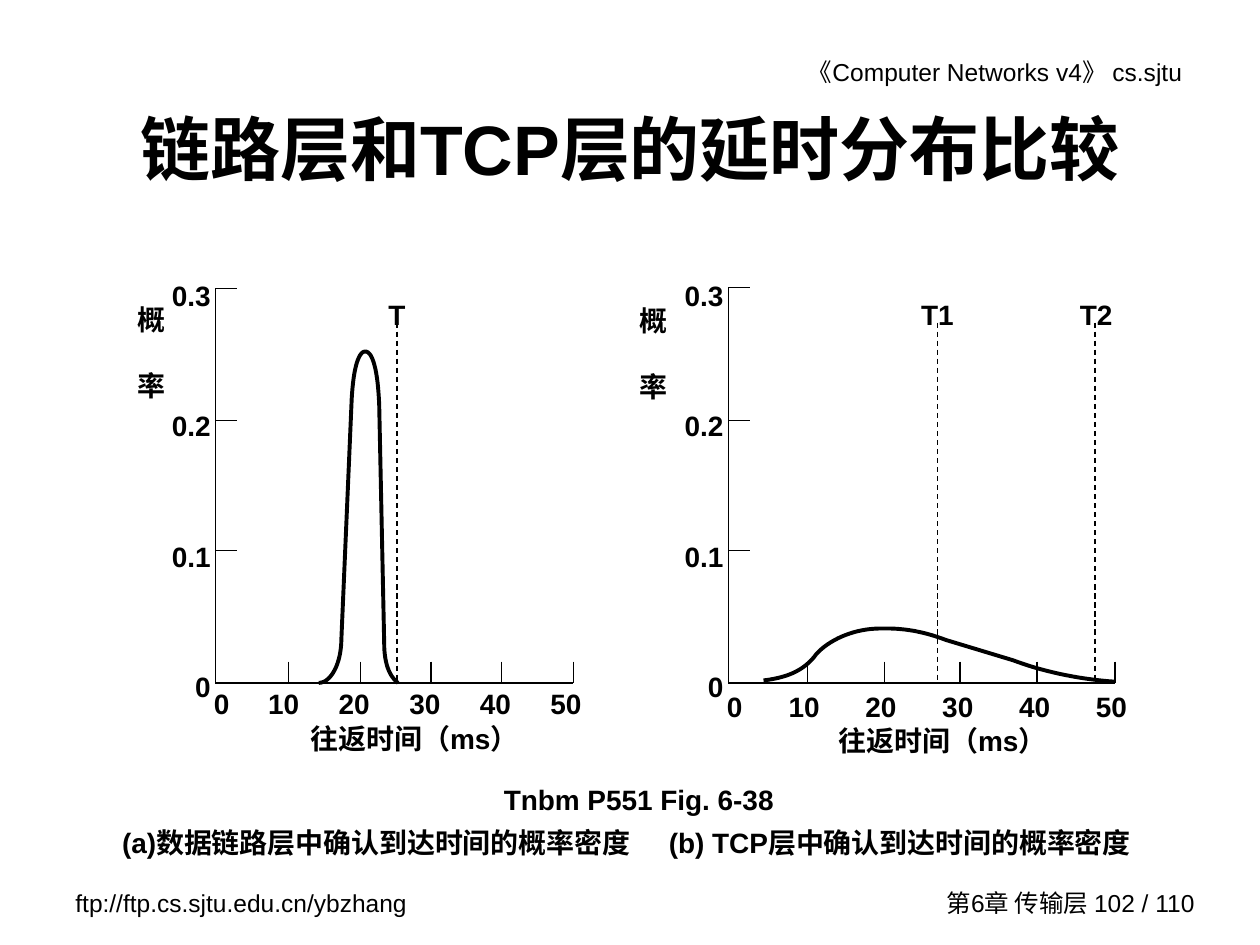
from lxml import etree
from pptx import Presentation
from pptx.dml.color import RGBColor
from pptx.enum.dml import MSO_LINE
from pptx.enum.shapes import MSO_CONNECTOR
from pptx.enum.text import MSO_ANCHOR, PP_ALIGN
from pptx.oxml.ns import qn
from pptx.util import Inches, Pt

LEFT, CENTER, RIGHT = PP_ALIGN.LEFT, PP_ALIGN.CENTER, PP_ALIGN.RIGHT
TOP, MIDDLE = MSO_ANCHOR.TOP, MSO_ANCHOR.MIDDLE
STRAIGHT = MSO_CONNECTOR.STRAIGHT
DASH = MSO_LINE.DASH


def rgb(value):
    return RGBColor.from_string(value)


def bezier(a, b, c, d, steps=16):
    for i in range(1, steps + 1):
        t = i / steps
        u = 1 - t
        yield tuple(u**3 * p + 3 * u * u * t * q + 3 * u * t * t * r + t**3 * s
                    for p, q, r, s in zip(a, b, c, d))


class Builder:
    font = "Arial"
    ink = "000000"

    def __init__(self, s):
        self.s = s

    def text(self, x, y, w, h, text, size=16, bold=True, align=LEFT,
             anchor=TOP, gap=0, tabs=()):
        sp = self.s.shapes.add_textbox(Inches(x), Inches(y), Inches(w), Inches(h))
        tf = sp.text_frame
        tf.word_wrap = True
        tf.vertical_anchor = anchor
        for i, line in enumerate(text.split("\n")):
            p = tf.paragraphs[0] if i == 0 else tf.add_paragraph()
            if tabs:
                stops = etree.SubElement(p._p.get_or_add_pPr(), qn("a:tabLst"))
                for pos in tabs:
                    etree.SubElement(stops, qn("a:tab"), pos=str(Inches(pos)), algn="l")
            p.alignment = align
            if i and gap:
                p.space_before = Pt(gap)
            r = p.add_run()
            r.text = line
            r.font.name = self.font
            r.font.size = Pt(size)
            r.font.bold = bold
            r.font.color.rgb = rgb(self.ink)

    def line(self, x1, y1, x2, y2, dash=None):
        c = self.s.shapes.add_connector(STRAIGHT, Inches(x1), Inches(y1),
                                        Inches(x2), Inches(y2))
        c.line.color.rgb = rgb(self.ink)
        c.line.width = Pt(0.75)
        if dash:
            c.line.dash_style = dash
        etree.SubElement(c._element.spPr, qn("a:effectLst"))

    def curve(self, start, segments):
        points = [start]
        for seg in segments:
            points.extend(bezier(points[-1], *seg) if len(seg) == 3 else seg)
        points = [(Inches(x), Inches(y)) for x, y in points]
        fb = self.s.shapes.build_freeform(*points[0])
        fb.add_line_segments(points[1:], close=False)
        sp = fb.convert_to_shape()
        sp.shadow.inherit = False
        sp.fill.background()
        sp.line.color.rgb = rgb(self.ink)
        sp.line.width = Pt(2.25)

    def plot(self, x, top, x_ticks, y_label, x_labels, x_title, timeouts, curve):
        base, tick = 5.42, 0.17
        self.text(x - 0.54, 2.16, 0.6, 3.44, "0.3\n0.2\n0.1\n0", align=RIGHT, gap=55.3)
        self.text(*y_label, 0.4, 0.9, "概\n率", gap=18.4)
        self.line(x, base, x_ticks[-1], base)
        self.line(x, top, x, base)
        for y in (top, 3.34, 4.37):
            self.line(x, y, x + tick, y)
        for tx in x_ticks:
            self.line(tx, base - tick, tx, base)
        lx, ly, first, step = x_labels
        self.text(lx, ly, 3.4, 0.32, "0\t10\t20\t30\t40\t50",
                  tabs=[first + step * i for i in range(5)])
        self.text(*x_title, 2, 0.32, "往返时间（ms）", align=CENTER)
        for name, tx, label_x in timeouts:
            self.line(tx, 2.56, tx, base, DASH)
            self.text(label_x - 0.3, 2.31, 0.6, 0.32, name, align=CENTER)
        self.curve(*curve)


def main():
    prs = Presentation()
    prs.slide_width, prs.slide_height = Inches(10), Inches(7.5)
    b = Builder(prs.slides.add_slide(prs.slide_layouts[6]))

    b.text(5.28, 0.4, 4.2, 0.34, "《Computer Networks v4》 cs.sjtu",
           size=14, bold=False, align=RIGHT)
    b.text(0.5, 7, 2.92, 0.34, "ftp://ftp.cs.sjtu.edu.cn/ybzhang", size=14, bold=False)
    b.text(7.32, 7, 2.26, 0.33, "第6章 传输层 102 / 110", size=14, bold=False,
           align=RIGHT, anchor=MIDDLE)
    b.text(0.75, 0.67, 8.5, 1, "链路层和TCP层的延时分布比较", size=40,
           align=CENTER, anchor=MIDDLE)

    link_curve = (2.53, 5.42), [
        ((2.63, 5.42), (2.71, 5.26), (2.71, 5.07)),
        ((2.79, 3.21),),
        ((2.8, 2.95), (2.84, 2.79), (2.9, 2.79)),
        ((2.96, 2.79), (3, 2.95), (3.01, 3.21)),
        ((3.05, 5.11),),
        ((3.05, 5.26), (3.09, 5.37), (3.16, 5.42)),
    ]
    tcp_curve = (6.06, 5.4), [
        ((6.23, 5.38), (6.38, 5.33), (6.48, 5.19)),
        ((6.58, 5.08), (6.76, 5), (6.94, 4.99)),
        ((7.13, 4.98), (7.3, 5), (7.51, 5.08)),
        ((8.04, 5.24),),
        ((8.25, 5.32), (8.54, 5.39), (8.85, 5.41)),
    ]
    b.plot(1.71, 2.29, [2.29, 2.86, 3.42, 3.98, 4.55], (0.99, 2.35),
           (1.6, 5.4, 0.43, 0.56), (2.29, 5.68), [("T", 3.15, 3.15)], link_curve)
    b.plot(5.78, 2.28, [6.41, 7.02, 7.62, 8.23, 8.85], (4.98, 2.36),
           (5.67, 5.42, 0.49, 0.61), (6.48, 5.69),
           [("T1", 7.44, 7.44), ("T2", 8.69, 8.7)], tcp_curve)

    b.text(3.11, 6.16, 3.92, 0.37, "Tnbm P551 Fig. 6-38", align=CENTER)
    b.text(0.87, 6.5, 8.38, 0.36,
           "(a)数据链路层中确认到达时间的概率密度\t(b) TCP层中确认到达时间的概率密度", tabs=[4.34])
    prs.save("out.pptx")


if __name__ == "__main__":
    main()
